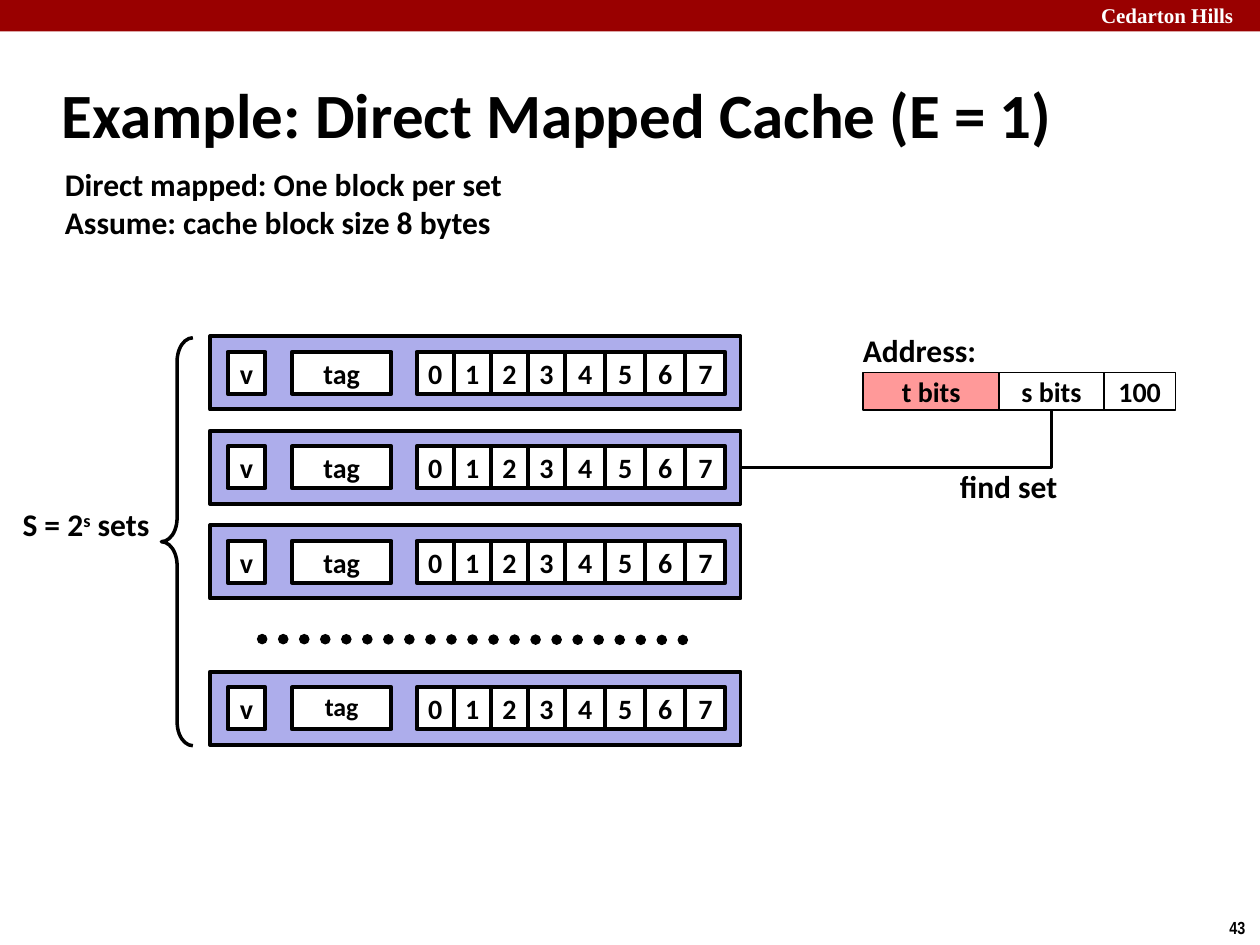
from lxml.etree import SubElement
from pptx import Presentation
from pptx.dml.color import RGBColor
from pptx.enum.dml import MSO_LINE
from pptx.enum.shapes import MSO_CONNECTOR, MSO_SHAPE
from pptx.enum.text import MSO_ANCHOR, MSO_AUTO_SIZE, PP_ALIGN
from pptx.oxml.ns import qn
from pptx.util import Pt

BLACK = RGBColor(0x00, 0x00, 0x00)
WHITE = RGBColor(0xFF, 0xFF, 0xFF)
RED = RGBColor(0x99, 0x00, 0x00)
PINK = RGBColor(0xFF, 0x99, 0x99)
LAVENDER = RGBColor(0xAD, 0xAD, 0xEB)


def format_text(frame, size, color=BLACK, font="Calibri"):
    for para in frame.paragraphs:
        for span in para.runs:
            span.font.name = font
            span.font.size = Pt(size)
            span.font.bold = True
            span.font.color.rgb = color


def add_label(slide, box, text, size=18, color=BLACK, font="Calibri"):
    label = slide.shapes.add_textbox(*map(Pt, box))
    frame = label.text_frame
    frame.word_wrap = False
    frame.auto_size = MSO_AUTO_SIZE.SHAPE_TO_FIT_TEXT
    frame.text = text
    format_text(frame, size, color, font)
    return label


def add_box(slide, box, fill, line_width, text="", size=16):
    cell = slide.shapes.add_shape(MSO_SHAPE.RECTANGLE, *map(Pt, box))
    cell.shadow.inherit = False
    cell.fill.solid()
    cell.fill.fore_color.rgb = fill
    if line_width:
        cell.line.color.rgb = BLACK
        cell.line.width = Pt(line_width)
    else:
        cell.line.fill.background()
    if text:
        frame = cell.text_frame
        frame.word_wrap = False
        frame.vertical_anchor = MSO_ANCHOR.MIDDLE
        frame.text = text
        frame.paragraphs[0].alignment = PP_ALIGN.CENTER
        format_text(frame, size)
    return cell


def add_line(slide, kind, ends, width):
    line = slide.shapes.add_connector(kind, *map(Pt, ends))
    line.line.color.rgb = BLACK
    line.line.width = Pt(width)
    SubElement(line._element.spPr, qn("a:effectLst"))
    return line


def add_frame(slide, width):
    # Header band and slide number
    add_box(slide, (0, 0, width, 18), RED, 0)
    add_label(slide, (622.1, -2, 97.9, 21.8), "Cedarton Hills", 12, WHITE, "Times New Roman")
    add_label(slide, (695.5, 520.6, 24.5, 19.4), "43", 10, font="Arial Narrow")


def add_title(slide, box):
    title = slide.shapes.title
    title.left, title.top, title.width, title.height = map(Pt, box)
    frame = title.text_frame
    frame.text = "Example: Direct Mapped Cache (E = 1)"
    frame.vertical_anchor = MSO_ANCHOR.MIDDLE
    frame.paragraphs[0].alignment = PP_ALIGN.LEFT
    format_text(frame, 36)


def add_cache_set(slide, box, tag_size=16):
    left, top, _, _ = box
    cache_set = add_box(slide, box, LAVENDER, 2.25)

    def add_cell(offset, width, text, size=16):
        return add_box(slide, (left + offset, top + 8.9, width, 23.9), WHITE, 2.25, text, size)

    # Valid bit and tag
    add_cell(10.1, 21.6, "v")
    tag = add_cell(46.8, 56.9, "tag", tag_size)
    if tag_size < 16:
        tag.text_frame.paragraphs[0].line_spacing = 0.9

    # Block bytes: four narrow cells, then four wider ones
    offset = 118.1
    for number in range(8):
        width = 21.2 if number < 4 else 22.9
        add_cell(offset, width, str(number))
        offset += width
    return cache_set


def add_cache(slide, box):
    left, top, width, height = box
    row_height, pitch = 41.8, 54
    cache_sets = [
        add_cache_set(slide, (left, top + row * pitch, width, row_height)) for row in range(3)
    ]
    add_cache_set(slide, (left, top + height - row_height, width, row_height), tag_size=14.8)

    # Dotted line for the sets left out
    dots = add_line(slide, MSO_CONNECTOR.STRAIGHT,
                    (left + 29.8, top + 173, left + 276, top + 173.5), 6)
    dots.line.dash_style = MSO_LINE.ROUND_DOT
    dots.line._get_or_add_ln().set("cap", "rnd")

    # Brace and set count
    brace = slide.shapes.add_shape(
        MSO_SHAPE.LEFT_BRACE, Pt(left - 27.8), Pt(top + 0.8), Pt(18), Pt(height - 0.4))
    brace.adjustments[0] = 0.75
    brace.shadow.inherit = False
    brace.fill.background()
    brace.line.color.rgb = BLACK
    brace.line.width = Pt(2)
    label = add_label(slide, (left - 114.2, top + 93, 88.6, 29), "")
    para = label.text_frame.paragraphs[0]
    for text in ("S = 2", "s", " sets"):
        para.add_run().text = text
    format_text(label.text_frame, 18)
    para.runs[1]._r.get_or_add_rPr().set("baseline", "30000")
    return cache_sets


def add_address(slide, box):
    left, top, _, height = box
    add_label(slide, (left - 7.2, top - 27.1, 80, 29), "Address:")
    fields = {}
    for text, width, fill in (("t bits", 77.8, PINK), ("s bits", 59.8, WHITE), ("100", 41, WHITE)):
        fields[text] = add_box(slide, (left, top, width, height), fill, 1, text)
        left += width
    return fields


def add_set_lookup(slide, index_field, cache_set):
    # One bend: down from the index field, then left to the set
    start_x = index_field.left + index_field.width // 2
    start_y = index_field.top + index_field.height
    end_x = cache_set.left + cache_set.width
    end_y = cache_set.top + cache_set.height // 2
    across, down = start_x - end_x, end_y - start_y
    link = add_line(slide, MSO_CONNECTOR.ELBOW, (0, 0, 1, 1), 2)
    link.begin_connect(index_field, 2)
    link.end_connect(cache_set, 3)

    # A quarter turn swaps width and height around the centre
    properties = link._element.spPr
    properties.find(qn("a:prstGeom")).set("prst", "bentConnector2")
    transform = properties.find(qn("a:xfrm"))
    for flip in ("flipH", "flipV"):
        transform.attrib.pop(flip, None)
    transform.set("rot", "5400000")
    link.left = (start_x + end_x - down) // 2
    link.top = (start_y + end_y - across) // 2
    link.width, link.height = down, across
    add_label(slide, (541.4, 263.5, 70.6, 29), "find set")


def main():
    deck = Presentation()
    deck.slide_width, deck.slide_height = Pt(720), Pt(540)
    slide = deck.slides.add_slide(deck.slide_layouts[5])
    add_frame(slide, 720)
    add_title(slide, (28.1, 34.6, 597.6, 59.8))
    add_label(slide, (30, 90.7, 267, 51),
              "Direct mapped: One block per set\nAssume: cache block size 8 bytes")
    cache_sets = add_cache(slide, (120, 192.2, 303.2, 233.5))
    fields = add_address(slide, (493.2, 212.8, 178.6, 21.4))
    add_set_lookup(slide, fields["s bits"], cache_sets[1])
    deck.save("out.pptx")


if __name__ == "__main__":
    main()
